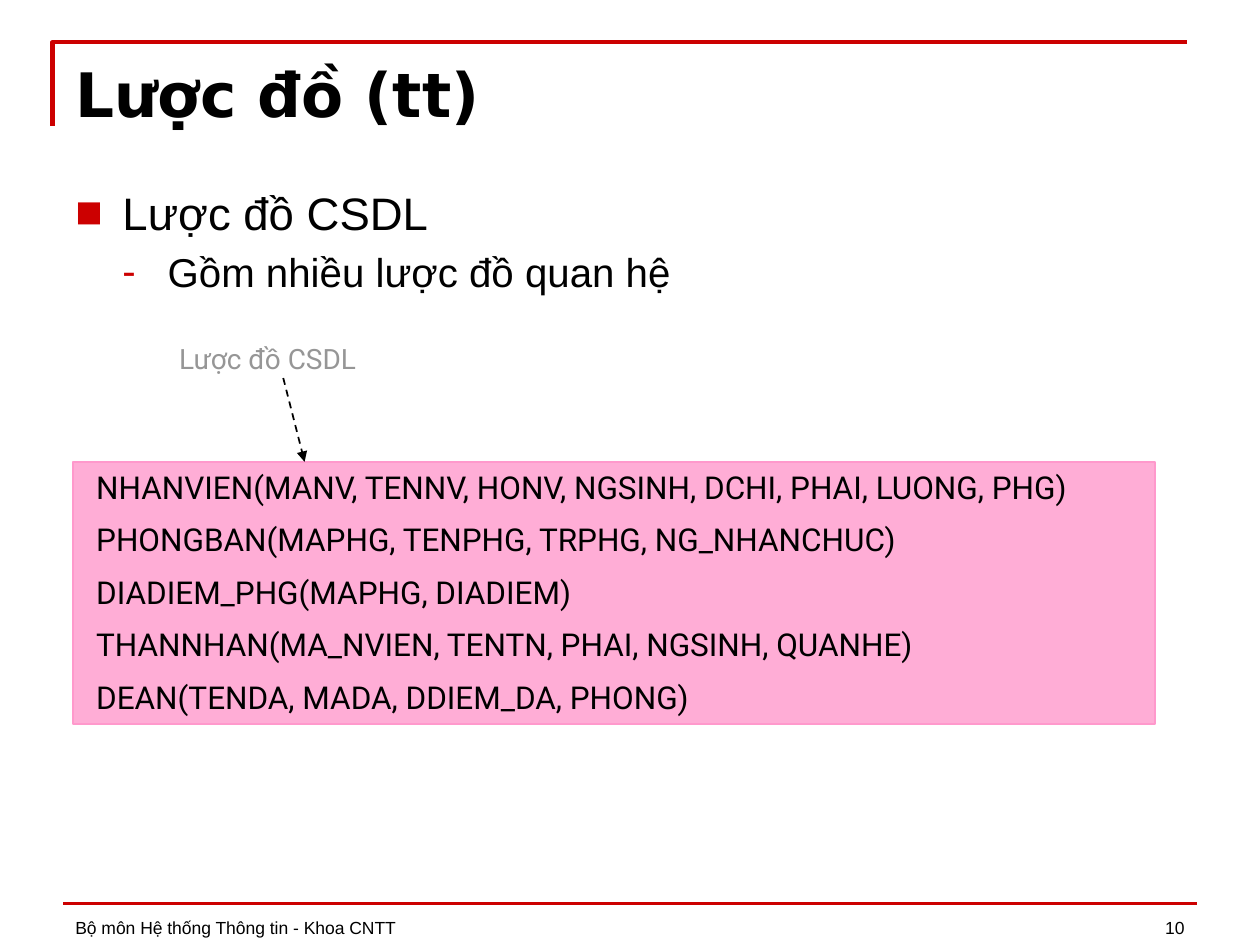
from collections import namedtuple
from dataclasses import dataclass

import pptx
import pptx.dml.color
import pptx.enum.dml
import pptx.enum.shapes
import pptx.enum.text
import pptx.oxml
import pptx.oxml.ns
import pptx.util

Cm = pptx.util.Cm
Pt = pptx.util.Pt
Align = pptx.enum.text.PP_ALIGN
Anchor = pptx.enum.text.MSO_ANCHOR
Box = namedtuple("Box", "left top width height")


@dataclass(frozen=True)
class Theme:
    """Colours, fonts and type sizes of the slide."""
    red: str = "CC0000"
    pink: str = "FF99CC"
    grey: str = "969696"
    black: str = "000000"
    sans: str = "Arial"
    head: str = "DejaVu Sans"
    note: str = "Roboto"
    title: int = 35
    main: int = 26
    sub: int = 23
    row: int = 18
    label: int = 16
    foot: int = 10


theme = Theme()
ROWS = (
    "NHANVIEN(MANV, TENNV, HONV, NGSINH, DCHI, PHAI, LUONG, PHG)",
    "PHONGBAN(MAPHG, TENPHG, TRPHG, NG_NHANCHUC)",
    "DIADIEM_PHG(MAPHG, DIADIEM)",
    "THANNHAN(MA_NVIEN, TENTN, PHAI, NGSINH, QUANHE)",
    "DEAN(TENDA, MADA, DDIEM_DA, PHONG)",
)


def rgb(code):
    """Turn a hex code into a colour."""
    return pptx.dml.color.RGBColor.from_string(code)


def node(tag, **attrs):
    """Make a drawing element with attributes."""
    space = pptx.oxml.ns.nsdecls("a")
    item = pptx.oxml.parse_xml(f"<a:{tag} {space}/>")
    for name, value in attrs.items():
        item.set(name, str(value))
    return item


def frame(slide, box, anchor=Anchor.TOP):
    """Add a wrapping text box and return its text frame."""
    area = slide.shapes.add_textbox(*map(Cm, box)).text_frame
    area.word_wrap = True
    area.vertical_anchor = anchor
    return area


def write(area, text, size, font=theme.sans, color=theme.black, bold=False,
          align=Align.LEFT, mark=None, left=0, hang=0, gap=0, level=0):
    """Write one formatted paragraph into a text frame."""
    first = area.paragraphs[0]
    para = area.add_paragraph() if first.runs else first
    para.alignment = align
    para.level = level
    if mark:
        props = para._p.get_or_add_pPr()
        props.set("marL", str(Cm(left)))
        props.set("indent", str(-Cm(hang)))
        tint = node("buClr")
        tint.append(node("srgbClr", val=theme.red))
        props.extend((tint, node("buFont", typeface=font), node("buChar", char=mark)))
    if gap:
        para.space_before = Pt(gap)
    run = para.add_run()
    run.text = text
    run.font.size = Pt(size)
    run.font.name = font
    run.font.bold = bold
    run.font.color.rgb = rgb(color)


def link(slide, start, end, color, width):
    """Draw a straight line without a shadow."""
    kind = pptx.enum.shapes.MSO_CONNECTOR.STRAIGHT
    line = slide.shapes.add_connector(kind, *map(Cm, start + end))
    line.line.color.rgb = rgb(color)
    line.line.width = Pt(width)
    line._element.spPr.append(node("effectLst"))
    return line


def header(slide, box):
    """Draw the corner rule and the title."""
    x, y, width, height = box
    path = slide.shapes.build_freeform(Cm(x), Cm(y + height))
    path.add_line_segments([(Cm(x), Cm(y)), (Cm(x + width), Cm(y))], close=False)
    rule = path.convert_to_shape()
    rule.shadow.inherit = False
    rule.fill.background()
    rule.line.color.rgb = rgb(theme.red)
    rule.line.width = Pt(2.5)
    area = frame(slide, Box(x + 0.21, y + 0.15, width, 1.73))
    write(area, "Lược đồ (tt)", theme.title, font=theme.head, bold=True)


def body(slide, box):
    """Write the bulleted points."""
    area = frame(slide, box)
    write(area, "Lược đồ CSDL", theme.main, align=Align.JUSTIFY,
          mark="■", left=0.95, hang=0.95)
    write(area, "Gồm nhiều lược đồ quan hệ", theme.sub, align=Align.JUSTIFY,
          mark="-", left=1.86, hang=0.91, gap=theme.sub * 0.2, level=1)


def schema(slide, box):
    """Draw the schema panel with its label, rows and arrow."""
    x, y, width, height = box
    area = frame(slide, Box(x, y - 2.54, 7.83, 0.94))
    write(area, "Lược đồ CSDL", theme.label, font=theme.note,
          color=theme.grey, align=Align.CENTER)
    panel = slide.shapes.add_shape(
        pptx.enum.shapes.MSO_SHAPE.RECTANGLE, *map(Cm, box))
    panel.shadow.inherit = False
    panel.fill.solid()
    panel.fill.fore_color.rgb = rgb(theme.pink)
    tint = panel._element.spPr.find(".//" + pptx.oxml.ns.qn("a:srgbClr"))
    tint.append(node("alpha", val=80000))
    panel.line.color.rgb = rgb(theme.pink)
    panel.line.width = Pt(1)
    step = height / len(ROWS)
    for index, text in enumerate(ROWS):
        area = frame(slide, Box(x + 0.21, y + index * step, width, 1.02))
        write(area, text, theme.row, font=theme.note)
    arrow = link(slide, (x + 4.23, y - 1.69), (x + 4.66, y), theme.black, 1)
    arrow.line.dash_style = pptx.enum.dml.MSO_LINE.DASH
    arrow.line._get_or_add_ln().append(node("tailEnd", type="triangle"))


def footer(slide, box):
    """Draw the bottom rule, the department and the slide number."""
    x, y, width, height = box
    link(slide, (x, y + 0.45), (x + width, y + 0.45), theme.red, 2)
    area = frame(slide, Box(x, y, 15.44, height), Anchor.BOTTOM)
    write(area, "Bộ môn Hệ thống Thông tin - Khoa CNTT", theme.foot)
    area = frame(slide, Box(x + width - 5.92, y, 5.92, height), Anchor.BOTTOM)
    write(area, "10", theme.foot, align=Align.RIGHT)


def main():
    """Build and save the slide."""
    deck = pptx.Presentation()
    deck.slide_width, deck.slide_height = Cm(25.4), Cm(19.05)
    slide = deck.slides.add_slide(deck.slide_layouts[6])
    header(slide, Box(1.06, 0.85, 22.86, 1.69))
    body(slide, Box(1.27, 3.6, 22.86, 13.44))
    schema(slide, Box(1.48, 9.31, 21.8, 5.29))
    footer(slide, Box(1.27, 17.76, 22.86, 1.27))
    deck.save("out.pptx")


if __name__ == "__main__":
    main()
